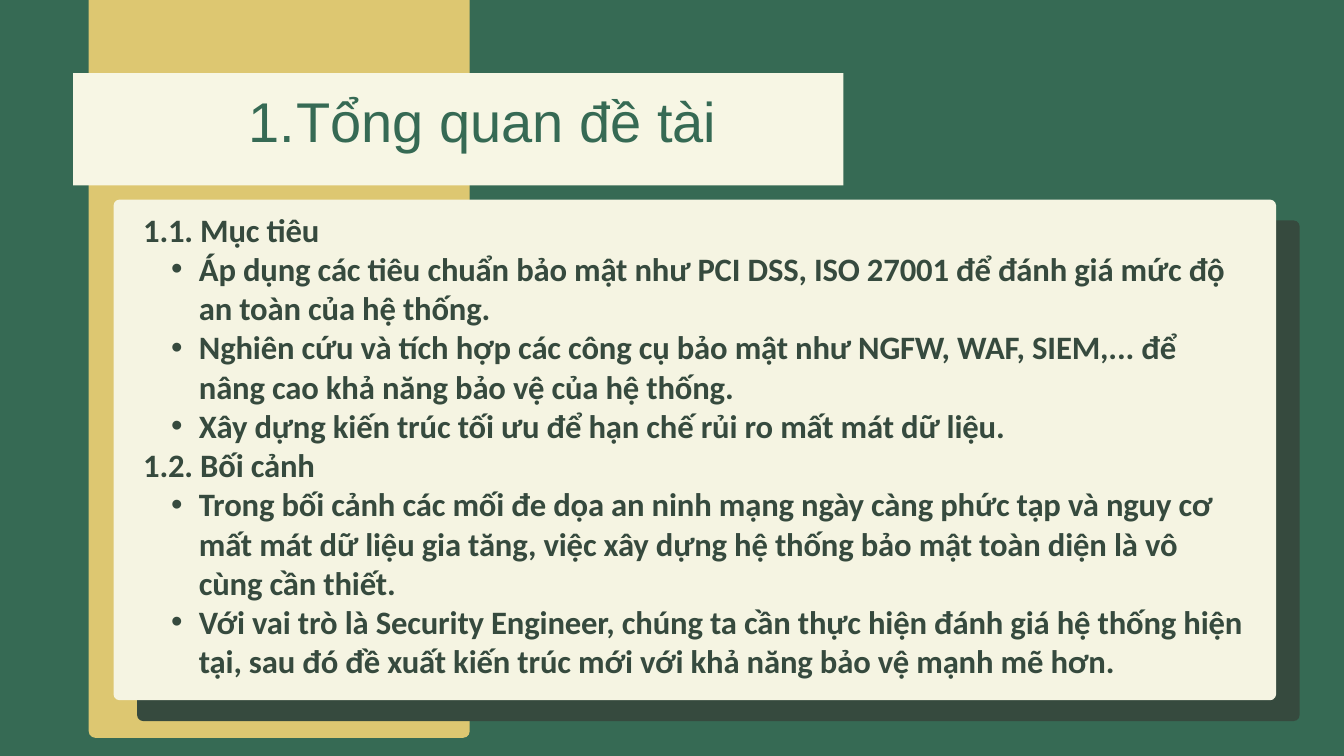
from lxml.etree import SubElement
from pptx import Presentation
from pptx.dml.color import RGBColor
from pptx.enum.shapes import MSO_SHAPE as Shape
from pptx.enum.text import MSO_ANCHOR as Anchor, MSO_AUTO_SIZE as AutoSize, PP_ALIGN as Align
from pptx.oxml.ns import qn
from pptx.util import Inches, Pt

GREEN = RGBColor(0x36, 0x6A, 0x54)
GOLD = RGBColor(0xDD, 0xC7, 0x71)
IVORY = RGBColor(0xF7, 0xF6, 0xE4)
CREAM = RGBColor(0xF5, 0xF4, 0xE2)
DARK = RGBColor(0x36, 0x4A, 0x3E)

SECTIONS = {
    "1.1. Mục tiêu": [
        "Áp dụng các tiêu chuẩn bảo mật như PCI DSS, ISO 27001 để đánh giá mức độ an toàn của hệ thống.",
        "Nghiên cứu và tích hợp các công cụ bảo mật như NGFW, WAF, SIEM,... để nâng cao khả năng bảo vệ của hệ thống.",
        "Xây dựng kiến trúc tối ưu để hạn chế rủi ro mất mát dữ liệu.",
    ],
    "1.2. Bối cảnh": [
        "Trong bối cảnh các mối đe dọa an ninh mạng ngày càng phức tạp và nguy cơ mất mát dữ liệu gia tăng, "
        "việc xây dựng hệ thống bảo mật toàn diện là vô cùng cần thiết.",
        "Với vai trò là Security Engineer, chúng ta cần thực hiện đánh giá hệ thống hiện tại, "
        "sau đó đề xuất kiến trúc mới với khả năng bảo vệ mạnh mẽ hơn.",
    ],
}


class SlideBuilder:
    title_format = {"name": "Arial", "size": Pt(60), "bold": False}
    body_format = {"name": "Calibri", "size": Pt(35), "bold": True}
    frame_format = {
        "margin_left": 0, "margin_top": 0, "margin_right": 0, "margin_bottom": 0,
        "word_wrap": True, "auto_size": AutoSize.NONE, "vertical_anchor": Anchor.TOP,
    }

    def __init__(self, slide):
        self.slide = slide
        slide.background.fill.solid()
        slide.background.fill.fore_color.rgb = GREEN

    def apply(self, target, values):
        for name, value in values.items():
            setattr(target, name, value)

    def panel(self, left, top, width, height, color, radius=0):
        kind = Shape.ROUNDED_RECTANGLE if radius else Shape.RECTANGLE
        shape = self.slide.shapes.add_shape(kind, *map(Inches, (left, top, width, height)))
        if radius:
            shape.adjustments[0] = radius / min(width, height)
        shape.shadow.inherit = False
        shape.fill.solid()
        shape.fill.fore_color.rgb = color
        shape.line.fill.background()

    def bullet(self, paragraph, margin, tag, **attributes):
        properties = paragraph._p.get_or_add_pPr()
        properties.set("marL", str(Inches(margin)))
        properties.set("indent", str(-Inches(margin / 2)))
        SubElement(properties, qn("a:buFont"), typeface="Arial")
        SubElement(properties, qn(tag), **attributes)

    def add_text(self, paragraph, text, values, color, line_spacing):
        paragraph.line_spacing = Pt(line_spacing)
        run = paragraph.add_run()
        run.text = text
        self.apply(run.font, values)
        run.font.color.rgb = color
        return run

    def title(self, left, top, width, height, text):
        shape = self.slide.shapes.title
        self.slide.shapes._spTree.append(shape._element)
        self.apply(shape, {"left": Inches(left), "top": Inches(top),
                           "width": Inches(width), "height": Inches(height)})
        self.apply(shape.text_frame, self.frame_format)
        paragraph = shape.text_frame.paragraphs[0]
        paragraph.alignment = Align.CENTER
        self.add_text(paragraph, text, self.title_format, GREEN, 72)
        self.bullet(paragraph, 1.42, "a:buAutoNum", type="arabicPeriod")

    def body(self, left, top, width, height, sections):
        box = self.slide.shapes.add_textbox(*map(Inches, (left, top, width, height)))
        frame = box.text_frame
        self.apply(frame, self.frame_format)
        lines = [(text, level) for heading, points in sections.items()
                 for text, level in [(heading, 0), *((point, 1) for point in points)]]
        for index, (text, level) in enumerate(lines):
            paragraph = frame.add_paragraph() if index else frame.paragraphs[0]
            paragraph.level = level
            run = self.add_text(paragraph, text, self.body_format, DARK, 42)
            run._r.get_or_add_rPr().set("spc", "-20")
            if level:
                self.bullet(paragraph, 0.83, "a:buChar", char="•")


def main():
    presentation = Presentation()
    presentation.slide_width = Inches(20)
    presentation.slide_height = Inches(11.25)
    builder = SlideBuilder(presentation.slides.add_slide(presentation.slide_layouts[5]))
    builder.panel(1.32, -0.35, 5.67, 11.33, GOLD, 0.1)
    builder.panel(1.09, 1.09, 11.46, 1.67, IVORY)
    builder.title(1.58, 1.29, 10.49, 1.14, "Tổng quan đề tài")
    builder.panel(2.04, 3.28, 17.3, 7.45, DARK, 0.09)
    builder.panel(1.69, 2.97, 17.3, 7.45, CREAM, 0.09)
    builder.body(2.13, 3.12, 16.41, 7.08, SECTIONS)
    presentation.save("out.pptx")


if __name__ == "__main__":
    main()
